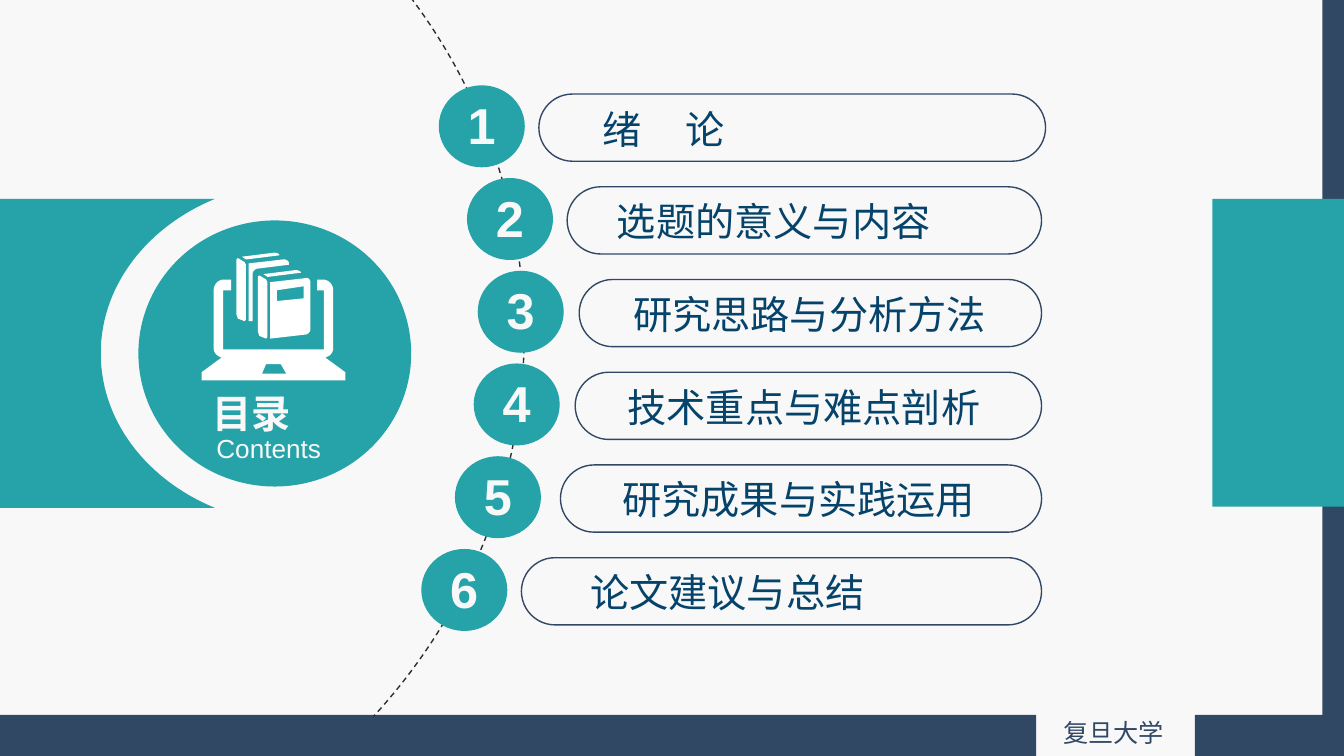
from pptx import Presentation
from pptx import util as u
from pptx.dml.color import RGBColor
from pptx.enum import dml, shapes, text

INK = {"paper": "F8F8F8", "navy": "314865", "teal": "25A3A8",
       "dash": "2E2C2C", "label": "06436B", "white": "FFFFFF"}
PAD = {"margin_left": 0.09, "margin_right": 0.09,
       "margin_top": 0.04, "margin_bottom": 0.04}
WIDE = 10
HIGH = WIDE * 9 / 16
STEP = 0.69   # from one row to the next
EDGE = 7.75   # right end of the pills

# Row: label, circle left, pill left, label indent inside the pill
ROWS = [
    ("绪\t论", 3.27, 4.01, 0.38),
    ("选题的意义与内容", 3.48, 4.22, 0.28),
    ("研究思路与分析方法", 3.56, 4.31, 0.31),
    ("技术重点与难点剖析", 3.53, 4.28, 0.30),
    ("研究成果与实践运用", 3.39, 4.17, 0.37),
    ("论文建议与总结", 3.14, 3.88, 0.42),
]

# Outlines: a pair is a corner, six numbers are a cubic curve
NOTCH = [[(1.6, 3.78), (0, 3.78), (0, 1.48), (1.6, 1.48),
          (1.09, 1.69, 0.75, 2.13, 0.75, 2.63),
          (0.75, 3.13, 1.09, 3.57, 1.6, 3.78)]]
ARC = [[(2.78, -0.35), (3.48, 0.41, 3.9, 1.4, 3.9, 2.49),
        (3.9, 3.57, 3.48, 4.57, 2.78, 5.33)]]
TOP = [(1.8, 1.91), (1.83, 1.93), (1.84, 1.93), (2.08, 1.9),
       (2.08, 1.89, 2.06, 1.88, 2.04, 1.88)]
SPINE = [(1.77, 1.92), (1.82, 1.95), (1.83, 1.97), (1.83, 2.38),
         (1.82, 2.39), (1.77, 2.37), (1.76, 2.34), (1.76, 1.93)]
BACK = [(1.85, 1.96), (2.11, 1.93), (2.13, 1.93, 2.15, 1.94, 2.15, 1.96),
        (2.15, 1.97), (1.91, 2), (1.89, 2.01, 1.88, 2.02, 1.88, 2.04),
        (1.88, 2.39), (1.85, 2.39)]
FRONT = [(2.01, 2.1), (2.27, 2.07), (2.29, 2.06, 2.31, 2.08, 2.31, 2.1),
         (2.31, 2.45), (2.31, 2.47, 2.29, 2.49, 2.27, 2.49), (2.01, 2.52)]
PLATE = [(2.06, 2.16), (2.26, 2.13), (2.26, 2.22), (2.06, 2.24)]
PAD_KEY = [(1.98, 2.71), (2.09, 2.71), (2.13, 2.78), (1.95, 2.78)]
LAPTOP = [(1.66, 2.16), (1.72, 2.16), (1.72, 2.08), (1.67, 2.08),
          (1.62, 2.08, 1.59, 2.12, 1.59, 2.16), (1.59, 2.59),
          (1.59, 2.62, 1.61, 2.65, 1.65, 2.66), (1.5, 2.77), (1.5, 2.83),
          (2.57, 2.83), (2.57, 2.77), (2.42, 2.66),
          (2.46, 2.65, 2.48, 2.62, 2.48, 2.59), (2.48, 2.16),
          (2.48, 2.12, 2.45, 2.08, 2.4, 2.08), (2.36, 2.08), (2.36, 2.16),
          (2.41, 2.16), (2.41, 2.6), (1.66, 2.6)]


def rgb(name):
    return RGBColor.from_string(INK[name])


def shift(path, dx, dy):
    return [tuple(v + (dy if i % 2 else dx) for i, v in enumerate(seg))
            for seg in path]


def trace(path, count):
    """Turn corners and curves into a list of points in EMU."""
    pts = []
    for seg in path:
        if len(seg) == 2:
            pts.append(seg)
            continue
        ctrl = [pts[-1], seg[:2], seg[2:4], seg[4:]]
        for k in range(1, count + 1):
            t = k / count
            mix = ((1 - t) ** 3, 3 * t * (1 - t) ** 2,
                   3 * t * t * (1 - t), t ** 3)
            pts.append(tuple(sum(m * c[a] for m, c in zip(mix, ctrl))
                             for a in (0, 1)))
    return [(u.Inches(x), u.Inches(y)) for x, y in pts]


def paint(shape, fill=None, line=None, width=0.75):
    shape.shadow.inherit = False
    if fill:
        shape.fill.solid()
        shape.fill.fore_color.rgb = rgb(fill)
    else:
        shape.fill.background()
    if line:
        shape.line.color.rgb = rgb(line)
        shape.line.width = u.Pt(width)
    else:
        shape.line.fill.background()
    return shape


def block(slide, kind, box, **look):
    shape = slide.shapes.add_shape(kind, *map(u.Inches, box))
    return paint(shape, **look)


def outline(slide, paths, close=True, count=8, **look):
    form = None
    for path in paths:
        first, *rest = trace(path, count)
        if form is None:
            form = slide.shapes.build_freeform(*first)
        else:
            form.move_to(*first)
        form.add_line_segments(rest, close=close)
    return paint(form.convert_to_shape(), **look)


def write(shape, words, size, ink, bold=False, wrap=False, font="Arial"):
    frame = shape.text_frame
    frame.word_wrap = wrap
    frame.auto_size = text.MSO_AUTO_SIZE.NONE
    frame.vertical_anchor = text.MSO_ANCHOR.TOP
    for key, val in PAD.items():
        setattr(frame, key, u.Inches(val))
    para = frame.paragraphs[0]
    para.alignment = text.PP_ALIGN.LEFT
    run = para.add_run()
    run.text = words
    for key, val in {"name": font, "size": u.Pt(size), "bold": bold}.items():
        setattr(run.font, key, val)
    run.font.color.rgb = rgb(ink)
    return para


def note(slide, box, words, size, ink, **look):
    shape = slide.shapes.add_textbox(*map(u.Inches, box))
    return write(shape, words, size, ink, **look)


def stop(para, inch):
    """Set a left tab stop."""
    props = para._p.get_or_add_pPr()
    tabs = props.makeelement(
        "{http://schemas.openxmlformats.org/drawingml/2006/main}tabLst", {})
    tab = tabs.makeelement(tabs.tag.replace("tabLst", "tab"),
                           {"pos": str(u.Inches(inch)), "algn": "l"})
    tabs.append(tab)
    props.append(tabs)


def row(slide, i, words, left, start, inset):
    y = 0.64 + i * STEP
    block(slide, shapes.MSO_SHAPE.OVAL, (left, y, 0.63, 0.6),
          fill="teal", line="teal")
    end = EDGE if i else EDGE + 0.03
    pill = block(slide, shapes.MSO_SHAPE.ROUNDED_RECTANGLE,
                 (start, y + 0.06, end - start, 0.5), line="navy")
    pill.adjustments[0] = 0.5
    wide = max(1.21, len(words) * 0.29 + 0.22)
    para = note(slide, (start + inset, y + 0.1, wide, 0.44),
                words, 21, "label", wrap=True)
    if "\t" in words:
        stop(para, 0.62)
    note(slide, (left + 0.12, y + 0.02, 0.37, 0.54), str(i + 1), 27,
         "paper", bold=True)


def main():
    deck = Presentation()
    deck.slide_width, deck.slide_height = u.Inches(WIDE), u.Inches(HIGH)
    slide = deck.slides.add_slide(deck.slide_layouts[5])
    slide.background.fill.solid()
    slide.background.fill.fore_color.rgb = rgb("paper")

    # Frame and side panels
    rect = shapes.MSO_SHAPE.RECTANGLE
    for x, y, wide in ((9.84, 0, 0.16), (0, 5.32, 7.71), (8.89, 5.32, 1.11)):
        block(slide, rect, (x, y, wide, HIGH - y), fill="navy")
    note(slide, (7.82, 5.3, 0.96, 0.33), "复旦大学", 13.5, "navy",
         font="Noto Sans CJK SC")
    block(slide, rect, (9.02, 1.48, 0.98, 2.29), fill="teal")
    outline(slide, NOTCH, count=30, fill="teal")

    # Dashed arc and numbered rows
    arc = outline(slide, ARC, close=False, count=40, line="dash", width=0)
    arc.line.dash_style = dml.MSO_LINE.DASH
    for i, item in enumerate(ROWS):
        row(slide, i, *item)

    # Contents badge
    disc = block(slide, shapes.MSO_SHAPE.OVAL, (1.03, 1.64, 2.03, 1.98),
                 fill="teal")
    books = [shift(part, d, d * 0.81) for part in (TOP, SPINE)
             for d in (0, 0.16)]
    outline(slide, [LAPTOP, PAD_KEY, BACK, FRONT, PLATE] + books,
            fill="white")
    title = slide.shapes.title
    place = {"left": 1.49, "top": 2.86, "width": 1, "height": 0.44}
    for key, val in place.items():
        setattr(title, key, u.Inches(val))
    write(title, "目录", 21, "paper", bold=True, wrap=True)
    disc.element.addnext(title.element)
    note(slide, (1.52, 3.18, 0.97, 0.33), "Contents", 14, "paper")

    deck.save("out.pptx")


if __name__ == "__main__":
    main()
